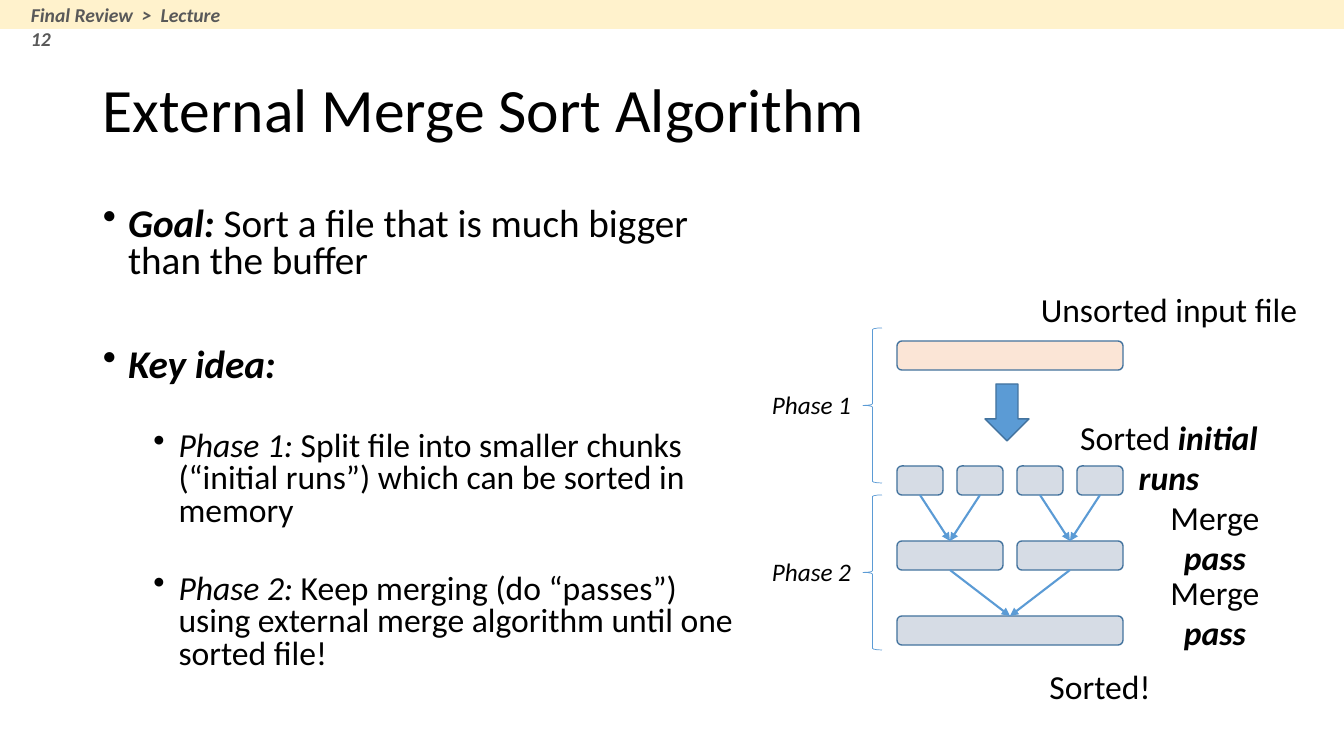
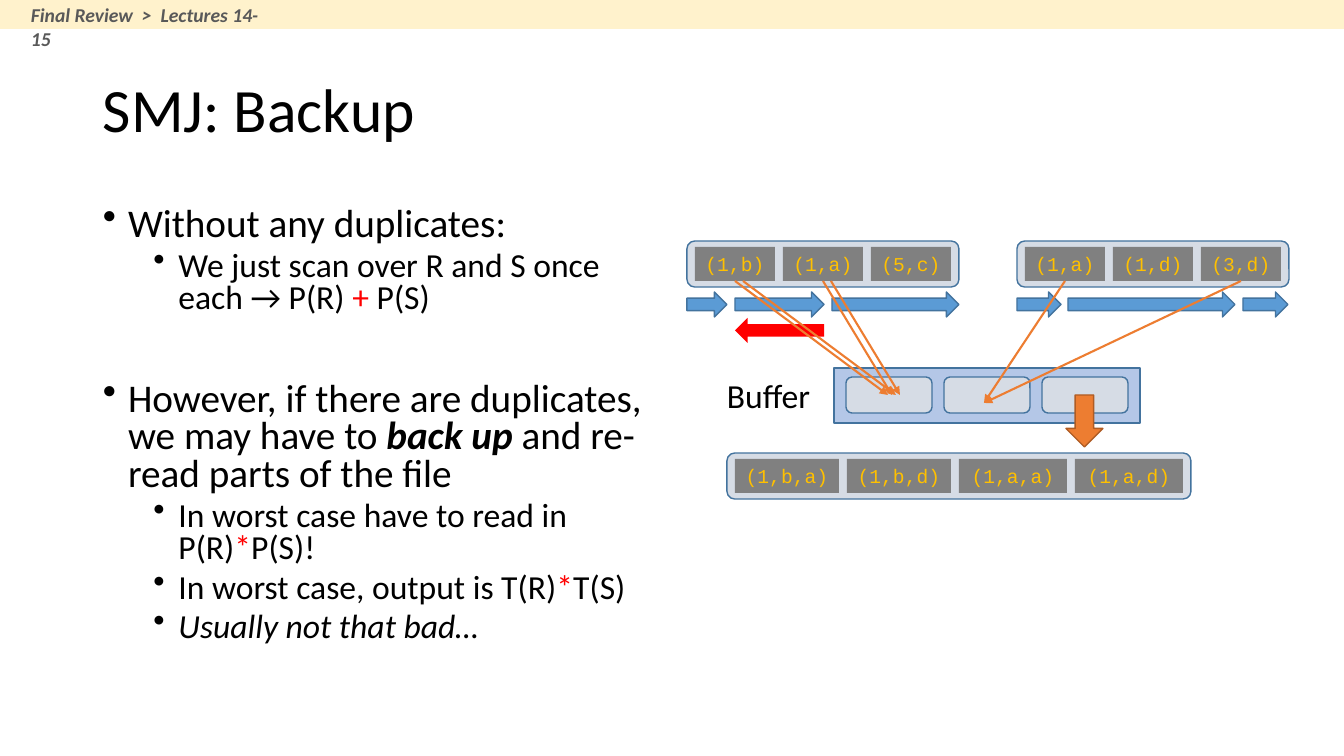
from dataclasses import dataclass

from lxml import etree
from pptx import Presentation
from pptx import util as u
from pptx.dml.color import RGBColor
from pptx.enum import shapes, text
from pptx.oxml.ns import qn

PX = u.Inches(13.3333) / 1344
KIND = shapes.MSO_SHAPE
MID = text.PP_ALIGN.CENTER
LEFT = text.PP_ALIGN.LEFT


@dataclass(frozen=True)
class Theme:
    """Colours, fonts and type sizes of the deck."""
    face: str = "Calibri"
    mono: str = "Courier New"
    ink: str = "000000"
    grey: str = "595959"
    band: str = "FFF2CC"
    peach: str = "FBE5D6"
    pale: str = "D6DCE5"
    sky: str = "B4C7E7"
    blue: str = "5B9BD5"
    edge: str = "43739E"
    cell: str = "808080"
    gold: str = "FFC000"
    red: str = "FF0000"
    rust: str = "ED7D31"
    dark: str = "AF5C24"
    head: int = 44
    main: int = 28
    sub: int = 24
    note: int = 18
    tiny: int = 14


def px(n):
    """Turn pixels into EMU."""
    return u.Emu(round(n * PX))


def rgb(code):
    """Turn a hex code into a colour."""
    return RGBColor.from_string(code)


class Deck:
    """Holds the style and the current slide."""

    def __init__(self, theme):
        """Start an empty wide deck."""
        self.th = theme
        self.prs = Presentation()
        self.prs.slide_width, self.prs.slide_height = px(1344), px(756)
        self.page = None

    def slide(self, title, crumb, wide):
        """Add a slide with band, breadcrumb and title."""
        th = self.th
        self.page = self.prs.slides.add_slide(self.prs.slide_layouts[6]).shapes
        self.shape(KIND.RECTANGLE, 0, 0, 1344, 29, th.band, None)
        self.label([(crumb, "bi")], 21, -2, wide, 34, th.tiny, color=th.grey)
        frame = self.frame(93, 40, 1159, 146)
        frame.vertical_anchor = text.MSO_ANCHOR.MIDDLE
        par = frame.paragraphs[0]
        par.line_spacing = 0.9
        self.put(par, [title], th.head)

    def frame(self, x, y, w, h):
        """Add a wrapping text box and return its frame."""
        frame = self.page.add_textbox(px(x), px(y), px(w), px(h)).text_frame
        frame.word_wrap = True
        return frame

    def put(self, par, runs, size, color=None, face=None):
        """Fill a paragraph; run marks are b bold, i italic, r red."""
        font = par.font
        font.name, font.size = face or self.th.face, u.Pt(size)
        font.color.rgb = rgb(color or self.th.ink)
        for item in runs:
            words, marks = (item, "") if isinstance(item, str) else item
            run = par.add_run()
            run.text = words
            if "b" in marks:
                run.font.bold = True
            if "i" in marks:
                run.font.italic = True
            if "r" in marks:
                run.font.color.rgb = rgb(self.th.red)

    def label(self, runs, x, y, w, h, size, align=LEFT, color=None):
        """Add a short text."""
        par = self.frame(x, y, w, h).paragraphs[0]
        par.alignment = align
        self.put(par, runs, size, color)

    def body(self, w, items):
        """Add bullets given as level, space before and runs."""
        frame = self.frame(93, 202, w, 480)
        for n, (level, gap, runs) in enumerate(items):
            par = frame.add_paragraph() if n else frame.paragraphs[0]
            par.level, par.line_spacing = level, 0.8
            par.space_before = u.Pt(gap)
            props = par._p.get_or_add_pPr()
            props.set("marL", str(u.Inches(0.25 + level / 2)))
            props.set("indent", str(-u.Inches(0.25)))
            etree.SubElement(props, qn("a:buChar")).set("char", "•")
            self.put(par, runs, self.th.sub if level else self.th.main)

    def shape(self, kind, x, y, w, h, fill, line=Theme.edge, width=1):
        """Add a preset shape; None leaves out fill or line."""
        item = self.page.add_shape(kind, px(x), px(y), px(w), px(h))
        item.shadow.inherit = False
        if fill:
            item.fill.solid()
            item.fill.fore_color.rgb = rgb(fill)
        else:
            item.fill.background()
        if line:
            item.line.color.rgb = rgb(line)
            item.line.width = u.Pt(width)
        else:
            item.line.fill.background()
        return item

    def bar(self, x, y, w, h, fill=Theme.pale):
        """Add a rounded bar."""
        return self.shape(KIND.ROUNDED_RECTANGLE, x, y, w, h, fill)

    def phase(self, name, y, mid):
        """Add a brace with its phase name."""
        self.shape(KIND.LEFT_BRACE, 863, y, 19, 155, None, self.th.blue, 0.5)
        self.label([(name, "i")], 762, mid, 110, 40, self.th.note)

    def row(self, x, y, cells):
        """Add a page of tuples given as text and width."""
        pad = 8
        self.bar(x, y, pad + sum(w + pad for _, w in cells), 46)
        made = []
        x += pad
        for words, w in cells:
            item = self.shape(KIND.RECTANGLE, x, y + 6, w, 34, self.th.cell, None)
            frame = item.text_frame
            frame.margin_left = frame.margin_right = 0
            par = frame.paragraphs[0]
            par.alignment = MID
            self.put(par, [words], self.th.tiny, self.th.gold, self.th.mono)
            made.append(item)
            x += w + pad
        return made

    def arrow(self, start, end, color):
        """Link two points or shapes, from bottom to top."""
        ends = [(0, 0) if hasattr(p, "shape_id") else p for p in (start, end)]
        link = self.page.add_connector(shapes.MSO_CONNECTOR.STRAIGHT,
                                       *[px(n) for p in ends for n in p])
        if hasattr(start, "shape_id"):
            link.begin_connect(start, 2)
        if hasattr(end, "shape_id"):
            link.end_connect(end, 0)
        link.line.color.rgb = rgb(color)
        link.line.width = u.Pt(1.5)
        tail = etree.SubElement(link.line._get_or_add_ln(), qn("a:tailEnd"))
        tail.set("type", "triangle")
        etree.SubElement(link._element.spPr, qn("a:effectLst"))


def sort(deck):
    """Build the merge sort slide."""
    th = deck.th
    deck.slide("External Merge Sort Algorithm", "Final Review  >  Lecture 12", 222)
    deck.body(670, [
        (0, 10, [("Goal: ", "bi"), "Sort a file that is much bigger than the buffer"]),
        (0, 47, [("Key idea:", "bi")]),
        (1, 33, [("Phase 1: ", "i"), "Split file into smaller chunks (“initial runs”) "
                 "which can be sorted in memory"]),
        (1, 33, [("Phase 2: ", "i"), "Keep merging (do “passes”) using external merge "
                 "algorithm until one sorted file!"]),
    ])
    deck.bar(897, 341, 226, 29, th.peach)
    deck.shape(KIND.DOWN_ARROW, 985, 384, 44, 57, th.blue)
    deck.phase("Phase 1", 328, 384)
    deck.phase("Phase 2", 495, 551)

    step, last = 60, []
    for span, y in ((1, 466), (2, 541), (4, 616)):
        bars = [deck.bar(897 + step * n, y, step * span - 14, 29)
                for n in range(0, 4, span)]
        for n, src in enumerate(last):
            deck.arrow(src, bars[n // 2], th.blue)
        last = bars

    for runs, x, y, w in (
        (["Unsorted input file"], 1024, 284, 290),
        (["Sorted ", ("initial runs", "bi")], 1044, 412, 250),
        (["Merge ", ("pass", "bi")], 1130, 492, 170),
        (["Merge ", ("pass", "bi")], 1130, 567, 170),
        (["Sorted!"], 1035, 661, 130),
    ):
        deck.label(runs, x, y, w, 50, th.sub, MID)


def join(deck):
    """Build the backup slide."""
    th = deck.th
    deck.slide("SMJ: Backup", "Final Review  >  Lectures 14-15", 255)
    deck.body(579, [
        (0, 10, ["Without any duplicates:"]),
        (1, 5, ["We just scan over R and S once each → P(R) ", ("+", "r"), " P(S)"]),
        (0, 47, ["However, if there are duplicates, we may have to ",
                 ("back up", "bi"), " and re-read parts of the file"]),
        (1, 5, ["In worst case have to read in P(R)", ("*", "r"), "P(S)!"]),
        (1, 5, ["In worst case, output is T(R)", ("*", "r"), "T(S)"]),
        (1, 5, [("Usually not that bad…", "i")]),
    ])
    left, right = [deck.row(x, 241, [(t, 80) for t in names]) for x, names in (
        (687, ("(1,b)", "(1,a)", "(5,c)")), (1017, ("(1,a)", "(1,d)", "(3,d)")))]
    for x, w in ((687, 40), (735, 89), (832, 127), (1017, 44), (1068, 167), (1243, 45)):
        deck.shape(KIND.RIGHT_ARROW, x, 292, w, 25, th.blue)
    deck.shape(KIND.LEFT_ARROW, 735, 318, 89, 25, th.red, None)

    deck.label(["Buffer"], 717, 370, 110, 50, th.sub)
    deck.shape(KIND.RECTANGLE, 834, 368, 306, 55, th.sky)
    for n in range(3):
        deck.bar(846 + 98 * n, 377, 86, 36)
    deck.row(727, 453, [("(1,b,a)", 104), ("(1,b,d)", 104),
                        ("(1,a,a)", 108), ("(1,a,d)", 108)])
    deck.shape(KIND.DOWN_ARROW, 1066, 395, 37, 52, th.rust, th.dark)

    for start, end in (
        (left[0], (888, 395)), ((743, 281), (896, 395)),
        (left[1], (892, 395)), ((831, 281), (900, 395)),
        (right[0], (984, 403)), (right[2], (984, 403)),
    ):
        deck.arrow(start, end, th.rust)


def main():
    """Build and save the deck."""
    deck = Deck(Theme())
    sort(deck)
    join(deck)
    deck.prs.save("out.pptx")


if __name__ == "__main__":
    main()
